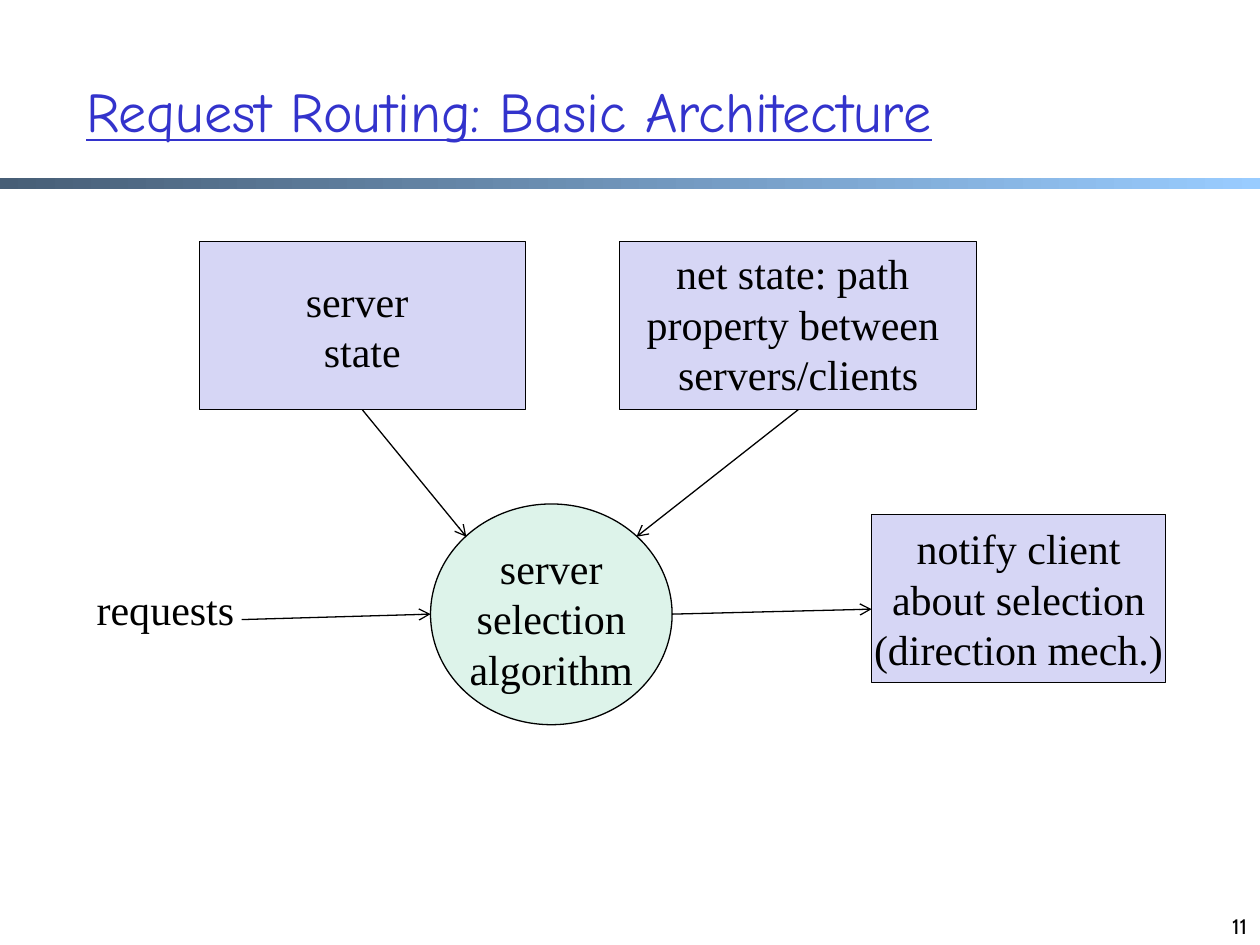
from lxml.etree import SubElement
from pptx import Presentation
from pptx.dml.color import RGBColor
from pptx.enum.shapes import MSO_CONNECTOR, MSO_SHAPE
from pptx.enum.text import MSO_ANCHOR, MSO_AUTO_SIZE, PP_ALIGN
from pptx.oxml.ns import qn
from pptx.util import Cm, Pt

BLACK = RGBColor(0x00, 0x00, 0x00)
TITLE_BLUE = RGBColor(0x33, 0x33, 0xCC)
LAVENDER = RGBColor(0xD6, 0xD6, 0xF5)
MINT = RGBColor(0xDD, 0xF3, 0xEA)
BAR_DARK = RGBColor(0x47, 0x5E, 0x76)
BAR_LIGHT = RGBColor(0x99, 0xCC, 0xFF)


def write(frame, paragraphs, font="Times New Roman", size=24, color=BLACK,
          align=PP_ALIGN.CENTER, anchor=MSO_ANCHOR.TOP, wrap=False):
    """Fill a text frame; each paragraph is a list of lines."""
    frame.word_wrap = wrap
    frame.auto_size = MSO_AUTO_SIZE.NONE
    frame.vertical_anchor = anchor
    for index, lines in enumerate(paragraphs):
        para = frame.paragraphs[0] if index == 0 else frame.add_paragraph()
        para.alignment = align
        for number, line in enumerate(lines):
            if number:
                para.add_line_break()
            span = para.add_run()
            span.text = line
            span.font.name = font
            span.font.size = Pt(size)
            span.font.color.rgb = color


deck = Presentation()
deck.slide_width, deck.slide_height = Cm(25.4), Cm(19.05)
page = deck.slides.add_slide(deck.slide_layouts[5])

# Gradient bar under the title
bar = page.shapes.add_shape(MSO_SHAPE.RECTANGLE, 0, Cm(3.59), Cm(25.4), Cm(0.22))
bar.shadow.inherit = False
bar.line.fill.background()
bar.fill.gradient()
bar.fill.gradient_angle = 0
for stop, color in zip(bar.fill.gradient_stops, (BAR_DARK, BAR_LIGHT)):
    stop.color.rgb = color

# Title
title = page.shapes.title
title.left, title.top, title.width, title.height = Cm(1.48), Cm(0.64), Cm(21.59), Cm(3.18)
write(title.text_frame, [["Request Routing: Basic Architecture"]], "Comic Neue", 32,
      TITLE_BLUE, PP_ALIGN.LEFT, MSO_ANCHOR.MIDDLE, wrap=True)
title.text_frame.paragraphs[0].runs[0].font.underline = True

# Boxes and the selection circle
nodes = {}
for name, kind, left, top, width, height, fill, anchor, paragraphs in (
    ("server state", MSO_SHAPE.RECTANGLE, 4.02, 4.87, 6.57, 3.39, LAVENDER,
     MSO_ANCHOR.MIDDLE, [["server "], ["state"]]),
    ("net state", MSO_SHAPE.RECTANGLE, 12.49, 4.87, 7.2, 3.39, LAVENDER,
     MSO_ANCHOR.TOP, [["net state: path ", "property between ", "servers/clients"]]),
    ("selection", MSO_SHAPE.OVAL, 8.68, 10.16, 4.87, 4.45, MINT,
     MSO_ANCHOR.TOP, [["server"], ["selection", "algorithm"]]),
    ("notify", MSO_SHAPE.RECTANGLE, 17.57, 10.37, 5.93, 3.39, LAVENDER,
     MSO_ANCHOR.MIDDLE, [["notify client"], ["about selection", "(direction mech.)"]]),
):
    node = page.shapes.add_shape(kind, Cm(left), Cm(top), Cm(width), Cm(height))
    node.shadow.inherit = False
    node.fill.solid()
    node.fill.fore_color.rgb = fill
    node.line.color.rgb = BLACK
    node.line.width = Pt(0.75)
    write(node.text_frame, paragraphs, anchor=anchor)
    nodes[name] = node

# Requests label and slide number
requests = page.shapes.add_textbox(Cm(1.7), Cm(11.64), Cm(3.3), Cm(1.27))
write(requests.text_frame, [["requests"]], align=PP_ALIGN.LEFT)
number_box = page.shapes.add_textbox(Cm(19.47), Cm(17.78), Cm(5.92), Cm(1.26))
write(number_box.text_frame, [["11"]], "Cabin", 12, align=PP_ALIGN.RIGHT,
      anchor=MSO_ANCHOR.BOTTOM, wrap=True)

# Arrows, joined to the boxes whose bottom middle they leave from
for x1, y1, x2, y2, source in (
    (7.3, 8.26, 9.4, 10.82, "server state"),
    (16.09, 8.26, 12.83, 10.82, "net state"),
    (4.87, 12.49, 8.68, 12.38, None),
    (13.55, 12.38, 17.57, 12.28, None),
):
    arrow = page.shapes.add_connector(MSO_CONNECTOR.STRAIGHT, Cm(x1), Cm(y1), Cm(x2), Cm(y2))
    if source:
        arrow.begin_connect(nodes[source], 2)
    arrow.line.color.rgb = BLACK
    arrow.line.width = Pt(0.75)
    properties = arrow.element.spPr
    SubElement(properties.find(qn("a:ln")), qn("a:tailEnd"), type="arrow")
    SubElement(properties, qn("a:effectLst"))

deck.save("out.pptx")
